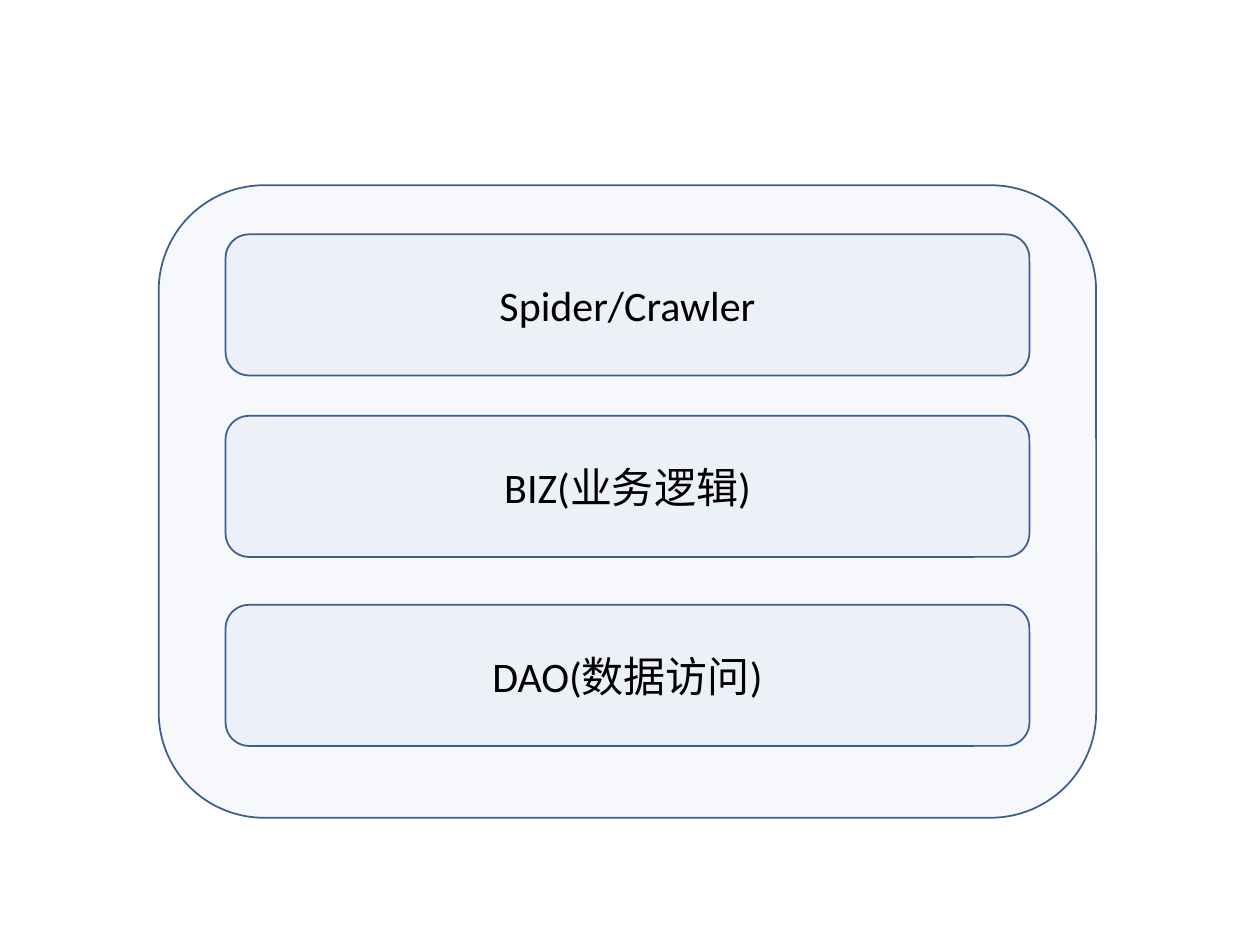
"""Build a slide of three application layers inside a rounded frame."""
from lxml import etree
from pptx import Presentation
from pptx.dml.color import RGBColor
from pptx.enum.shapes import MSO_SHAPE
from pptx.enum.text import MSO_ANCHOR, PP_ALIGN
from pptx.oxml.ns import qn
from pptx.util import Pt

ROUNDED = MSO_SHAPE.ROUNDED_RECTANGLE
MIDDLE = MSO_ANCHOR.MIDDLE
CENTER = PP_ALIGN.CENTER
COLORS = {"fill": "4F81BD", "line": "3A5F8C", "text": "000000"}
OPACITY = 5
LAYERS = [
    ("Spider/Crawler", 133.92),
    ("BIZ(业务逻辑)", 237.6),
    ("DAO(数据访问)", 345.6),
]


def add_box(s, left, top, width, height):
    sp = s.shapes.add_shape(ROUNDED, Pt(left), Pt(top), Pt(width), Pt(height))
    sp.shadow.inherit = False
    sp.fill.solid()
    sp.fill.fore_color.rgb = RGBColor.from_string(COLORS["fill"])
    color = sp.fill._xPr.find(qn("a:solidFill"))[0]
    etree.SubElement(color, qn("a:alpha"), val=str(OPACITY * 1000))
    sp.line.color.rgb = RGBColor.from_string(COLORS["line"])
    sp.line.width = Pt(1)
    return sp


prs = Presentation()
prs.slide_width, prs.slide_height = Pt(720), Pt(540)
s = prs.slides.add_slide(prs.slide_layouts[6])

add_box(s, 90.72, 105.84, 535.68, 361.44)

for text, top in LAYERS:
    tf = add_box(s, 128.88, top, 459.36, 80.64).text_frame
    tf.word_wrap = True
    tf.vertical_anchor = MIDDLE
    p = tf.paragraphs[0]
    p.alignment = CENTER
    r = p.add_run()
    r.text = text
    r.font.name = "Calibri"
    r.font.size = Pt(24)
    r.font.color.rgb = RGBColor.from_string(COLORS["text"])

prs.save("out.pptx")
